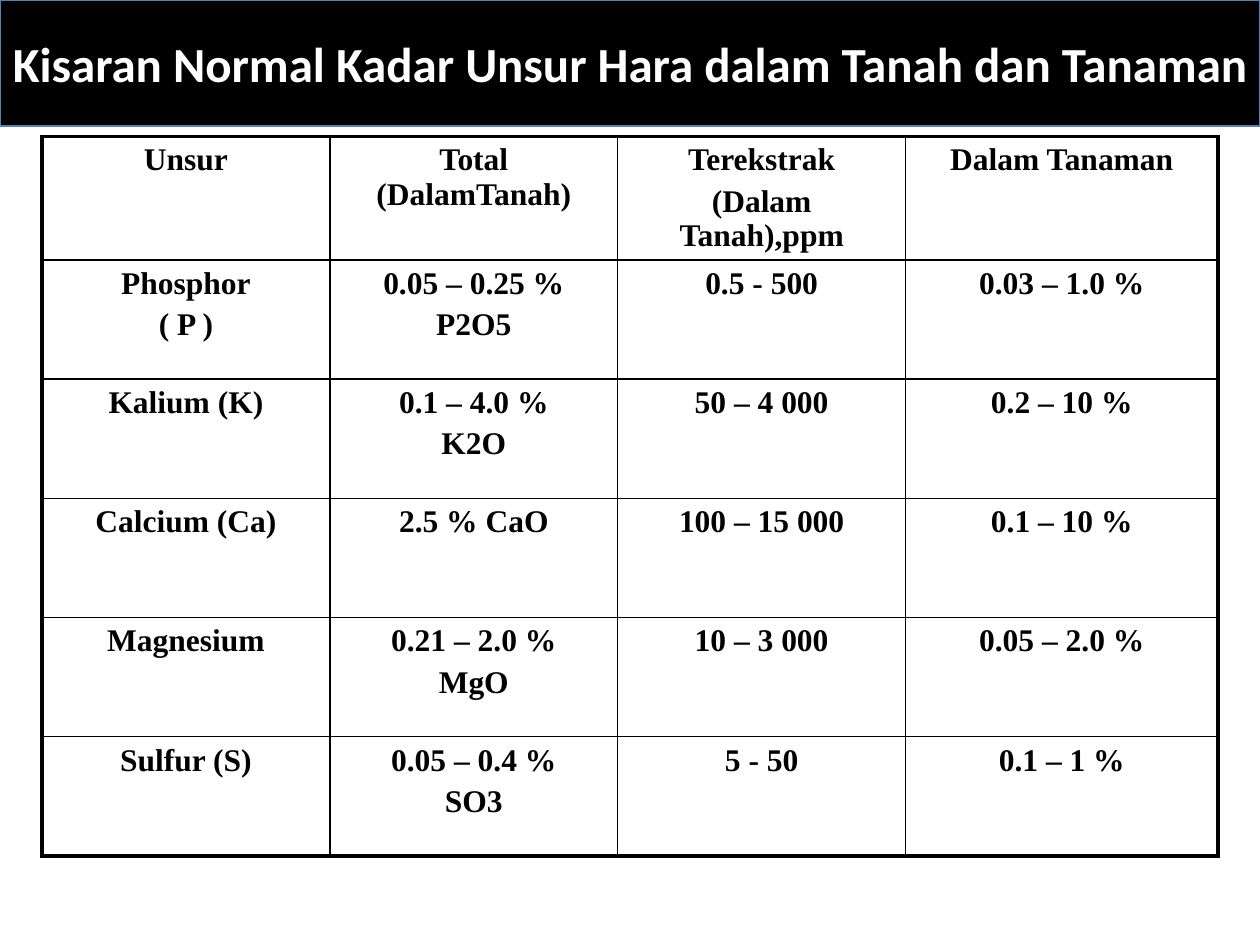
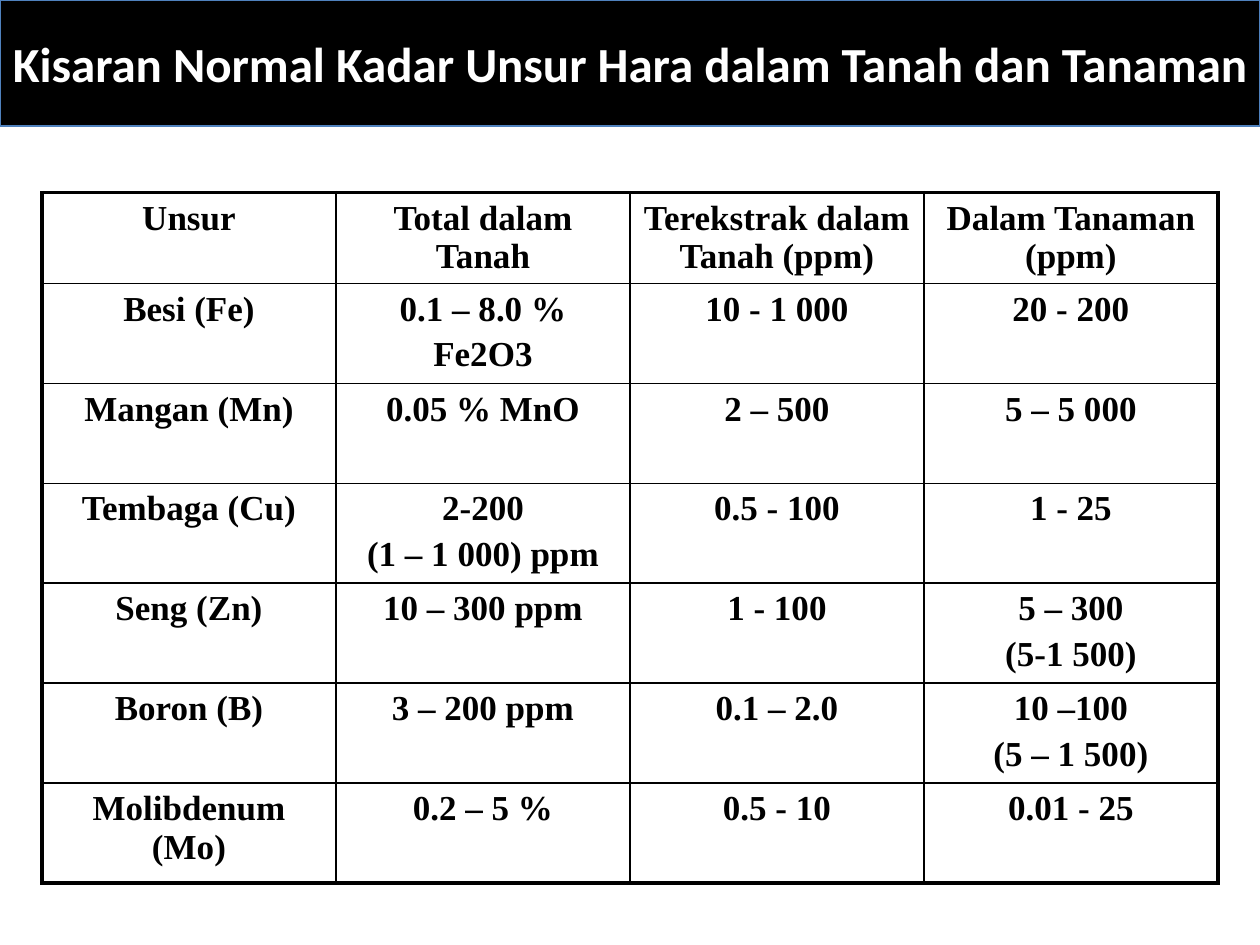
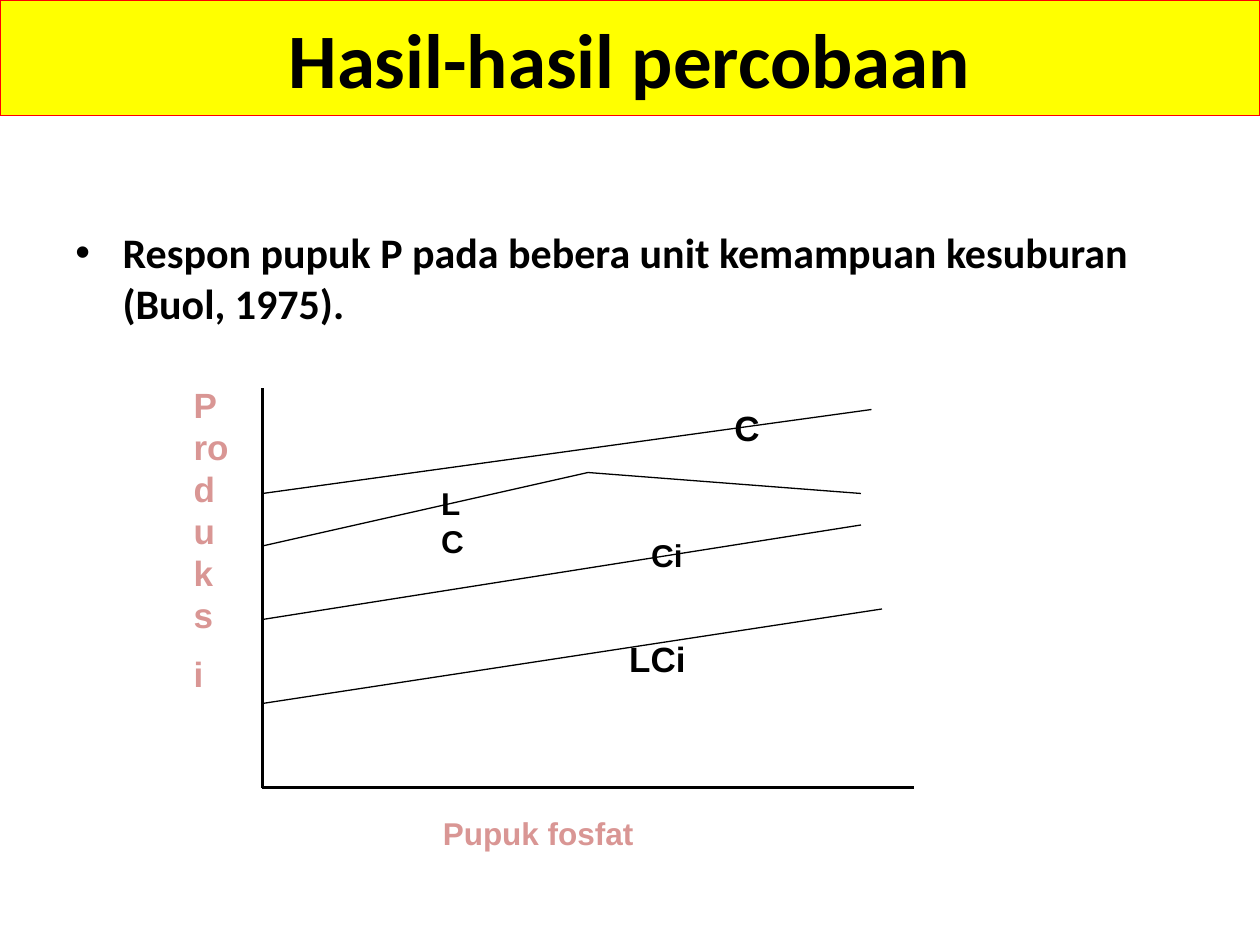
"""Build three slides on soil nutrient ranges and phosphate fertiliser response."""
from lxml import etree
from pptx import Presentation
from pptx.dml.color import RGBColor
from pptx.enum.shapes import MSO_CONNECTOR, MSO_SHAPE
from pptx.enum.text import MSO_ANCHOR, MSO_AUTO_SIZE, PP_ALIGN
from pptx.oxml.ns import qn
from pptx.util import Pt

RECTANGLE = MSO_SHAPE.RECTANGLE
STRAIGHT = MSO_CONNECTOR.STRAIGHT
MIDDLE = MSO_ANCHOR.MIDDLE
GROW = MSO_AUTO_SIZE.SHAPE_TO_FIT_TEXT
LEFT = PP_ALIGN.LEFT
CENTER = PP_ALIGN.CENTER

COLORS = {
    "black": "000000",
    "white": "FFFFFF",
    "blue": "4F81BD",
    "yellow": "FFFF00",
    "red": "FF0000",
    "rose": "D99694",
}
SLIDE_WIDTH, SLIDE_HEIGHT = 720, 540
TABLE_LEFT = 24
OUTER_BORDER, INNER_BORDER = 2.25, 1
RANGE_TITLE = "Kisaran Normal Kadar Unsur Hara dalam Tanah dan Tanaman"

NUTRIENT_TABLES = [
    {
        "top": 78, "size": 18, "columns": [164.5, 164.5, 164.5, 178.5],
        "header_height": 70.5, "row_height": 68.1,
        "rows": [
            ["Unsur", "Total (DalamTanah)", "Terekstrak\n(Dalam Tanah),ppm", "Dalam Tanaman"],
            ["Phosphor\n( P )", "0.05 – 0.25 %\nP2O5", "0.5 - 500", "0.03 – 1.0 %"],
            ["Kalium (K)", "0.1 – 4.0 %\nK2O", "50 – 4 000", "0.2 – 10 %"],
            ["Calcium (Ca)", "2.5 % CaO", "100 – 15 000", "0.1 – 10 %"],
            ["Magnesium", "0.21 – 2.0 %\nMgO", "10 – 3 000", "0.05 – 2.0 %"],
            ["Sulfur (S)", "0.05 – 0.4 %\nSO3", "5 - 50", "0.1 – 1 %"],
        ],
    },
    {
        "top": 110, "size": 20, "columns": [168] * 4,
        "header_height": 52, "row_height": 57.1,
        "rows": [
            ["Unsur", "Total dalam Tanah", "Terekstrak dalam Tanah (ppm)", "Dalam Tanaman (ppm)"],
            ["Besi (Fe)", "0.1 – 8.0 %\nFe2O3", "10 - 1 000", "20 - 200"],
            ["Mangan (Mn)", "0.05 % MnO", "2 – 500", "5 – 5 000"],
            ["Tembaga (Cu)", "2-200\n(1 – 1 000) ppm", "0.5 - 100", "1 - 25"],
            ["Seng (Zn)", "10 – 300 ppm", "1 - 100", "5 – 300\n(5-1 500)"],
            ["Boron (B)", "3 – 200 ppm", "0.1 – 2.0", "10 –100\n(5 – 1 500)"],
            ["Molibdenum (Mo)", "0.2 – 5 %", "0.5 - 10", "0.01 - 25"],
        ],
    },
]


def write_text(text_frame, text, font_name, size, color, alignment=LEFT, spacing=0):
    """Fill a text frame with bold paragraphs; spacing is a share of the size."""
    text_frame.text = text
    for paragraph in text_frame.paragraphs:
        paragraph.alignment = alignment
        paragraph.space_before = Pt(size * spacing)
        paragraph.font.name = font_name
        paragraph.font.size = Pt(size)
        paragraph.font.bold = True
        paragraph.font.color.rgb = RGBColor.from_string(COLORS[color])


def add_title(slide, text, height, size, fill, line, color):
    """Add the full-width title band."""
    band = slide.shapes.add_shape(RECTANGLE, 0, 0, Pt(SLIDE_WIDTH), Pt(height))
    band.shadow.inherit = False
    band.fill.solid()
    band.fill.fore_color.rgb = RGBColor.from_string(COLORS[fill])
    band.line.color.rgb = RGBColor.from_string(COLORS[line])
    band.line.width = Pt(0.75)
    band.text_frame.word_wrap = True
    band.text_frame.margin_left = band.text_frame.margin_right = 0
    band.text_frame.vertical_anchor = MIDDLE
    write_text(band.text_frame, text, "Calibri", size, color, CENTER)


presentation = Presentation()
presentation.slide_width = Pt(SLIDE_WIDTH)
presentation.slide_height = Pt(SLIDE_HEIGHT)
blank_layout = presentation.slide_layouts[6]

for nutrients in NUTRIENT_TABLES:
    slide = presentation.slides.add_slide(blank_layout)
    add_title(slide, RANGE_TITLE, 72, 28, "black", "blue", "white")
    rows, columns = nutrients["rows"], nutrients["columns"]
    heights = [nutrients["header_height"]] + [nutrients["row_height"]] * (len(rows) - 1)
    table = slide.shapes.add_table(
        len(rows), len(columns), Pt(TABLE_LEFT), Pt(nutrients["top"]),
        Pt(sum(columns)), Pt(sum(heights))).table
    table.first_row = False
    table.horz_banding = False
    for column, width in zip(table.columns, columns):
        column.width = Pt(width)
    for row_index, values in enumerate(rows):
        table.rows[row_index].height = Pt(heights[row_index])
        for column_index, value in enumerate(values):
            cell = table.cell(row_index, column_index)
            write_text(cell.text_frame, value, "Times New Roman", nutrients["size"],
                       "black", CENTER, 0.2)
            outer_edges = {
                "a:lnL": column_index == 0,
                "a:lnR": column_index == len(columns) - 1,
                "a:lnT": row_index == 0,
                "a:lnB": row_index == len(rows) - 1,
            }
            properties = cell._tc.get_or_add_tcPr()
            for tag, is_outer in outer_edges.items():
                width = Pt(OUTER_BORDER if is_outer else INNER_BORDER)
                border = etree.SubElement(properties, qn(tag), w=str(width))
                border_fill = etree.SubElement(border, qn("a:solidFill"))
                etree.SubElement(border_fill, qn("a:srgbClr"), val=COLORS["black"])
            cell.fill.background()

slide = presentation.slides.add_slide(blank_layout)
add_title(slide, "Hasil-hasil percobaan", 66, 44, "yellow", "red", "black")

body = slide.shapes.add_textbox(Pt(36), Pt(126), Pt(648), Pt(356))
body.text_frame.word_wrap = True
write_text(body.text_frame,
           "Respon pupuk P pada bebera unit kemampuan kesuburan (Buol, 1975).",
           "Calibri", 24, "black", spacing=0.2)
properties = body.text_frame.paragraphs[0]._p.get_or_add_pPr()
properties.set("marL", str(Pt(27)))
properties.set("indent", str(Pt(-27)))
bullet_font = etree.Element(qn("a:buFont"), typeface="Arial")
bullet = etree.Element(qn("a:buChar"), char="•")
properties.insert_element_before(bullet_font, "a:defRPr")
properties.insert_element_before(bullet, "a:defRPr")

AXIS_X, AXIS_Y = 150, 450
AXIS_WEIGHT, CURVE_WEIGHT = 2.25, 0.75
graph_lines = [
    (AXIS_X, 222, AXIS_X, AXIS_Y, AXIS_WEIGHT),
    (AXIS_X, AXIS_Y, 522, AXIS_Y, AXIS_WEIGHT),
    (AXIS_X, 402, 504, 348, CURVE_WEIGHT),
    (AXIS_X, 354, 492, 300, CURVE_WEIGHT),
    (AXIS_X, 312, 336, 270, CURVE_WEIGHT),
    (336, 270, 492, 282, CURVE_WEIGHT),
    (AXIS_X, 282, 498, 234, CURVE_WEIGHT),
]
for start_x, start_y, end_x, end_y, weight in graph_lines:
    connector = slide.shapes.add_connector(
        STRAIGHT, Pt(start_x), Pt(start_y), Pt(end_x), Pt(end_y))
    connector.line.color.rgb = RGBColor.from_string(COLORS["black"])
    connector.line.width = Pt(weight)
    etree.SubElement(connector._element.spPr, qn("a:effectLst"))

graph_labels = [
    ("Pupuk fosfat", 246, 461.5, 124, 29, 18, "rose", False),
    ("Produks\ni", 103.5, 215.5, 34.5, 211, 20, "rose", True),
    ("LCi", 352.5, 360.5, 47, 31, 20, "black", False),
    ("Ci", 365, 303, 32.5, 29, 18, "black", False),
    ("LC", 245, 273, 38, 29, 18, "black", False),
    ("C", 412.5, 229, 29, 31, 20, "black", False),
]
for text, left, top, width, height, size, color, wraps in graph_labels:
    label = slide.shapes.add_textbox(Pt(left), Pt(top), Pt(width), Pt(height))
    label.text_frame.word_wrap = wraps
    label.text_frame.auto_size = GROW
    write_text(label.text_frame, text, "Arial", size, color, spacing=0.5 if wraps else 0)

presentation.save("out.pptx")
